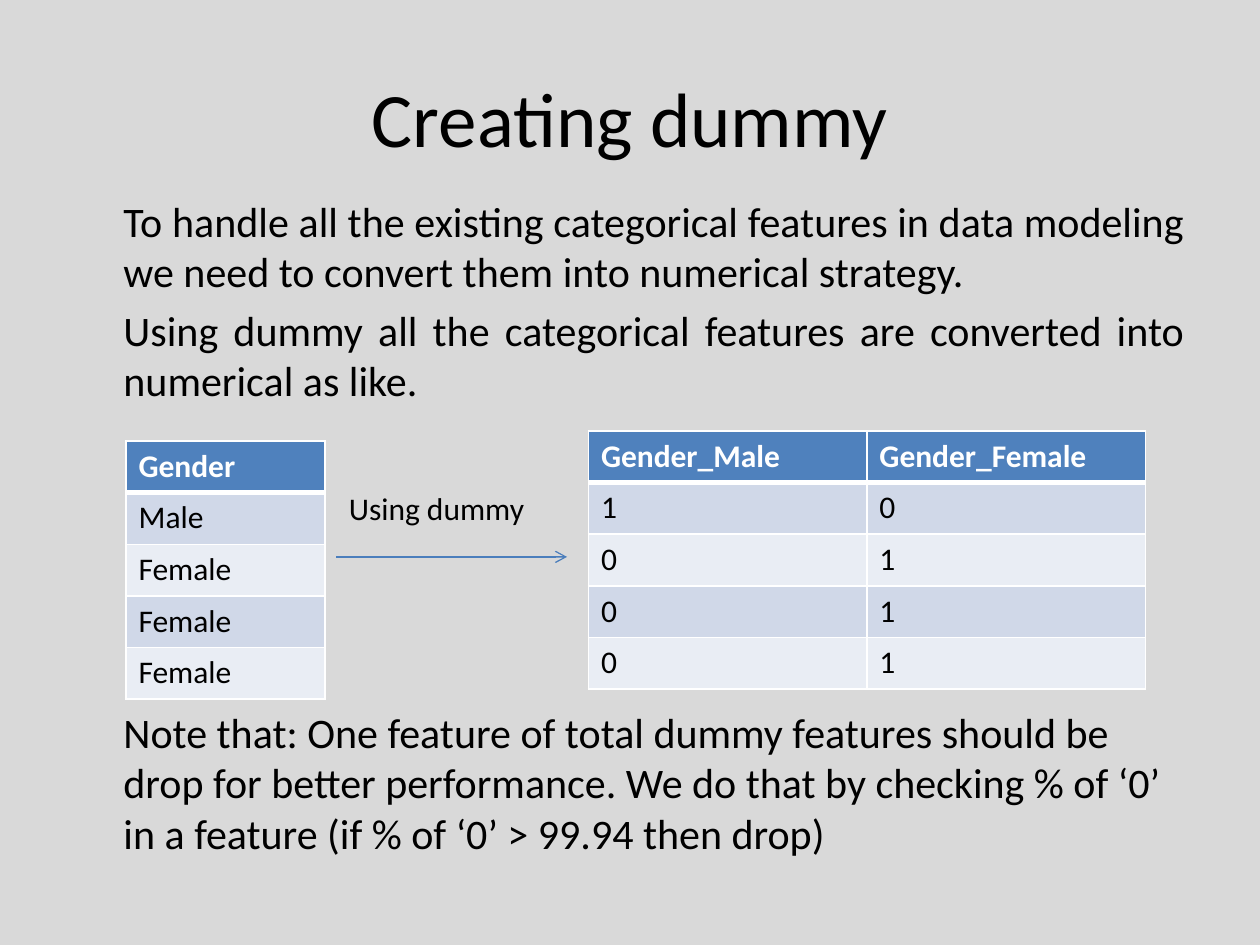
"""Builds a slide on turning a categorical column into dummy columns."""
import pptx
import pptx.dml.color
import pptx.enum.shapes
import pptx.enum.text
import pptx.oxml
import pptx.oxml.ns
import pptx.util

Inches = pptx.util.Inches
Pt = pptx.util.Pt
ALIGN = pptx.enum.text.PP_ALIGN

COLORS = {
    "background": "D9D9D9",
    "text": "000000",
    "white": "FFFFFF",
    "header": "4F81BD",
    "band_dark": "D0D8E8",
    "band_light": "E9EDF4",
    "arrow": "4B7EBC",
}


def rgb(name):
    return pptx.dml.color.RGBColor.from_string(COLORS[name])


def add_xml(parent, tag, body="", **attributes):
    pairs = " ".join(f'{key}="{value}"' for key, value in attributes.items())
    namespace = pptx.oxml.ns.nsdecls("a")
    parent.append(pptx.oxml.parse_xml(f"<a:{tag} {namespace} {pairs}>{body}</a:{tag}>"))


class SlideBuilder:
    font = "Calibri"
    row_height = Inches(0.41)

    def __init__(self, deck):
        self.slide = deck.slides.add_slide(deck.slide_layouts[1])
        fill = self.slide.background.fill
        fill.solid()
        fill.fore_color.rgb = rgb("background")

    def style(self, para, size, color="text", bold=False):
        para.font.name = self.font
        para.font.size = Pt(size)
        para.font.bold = bold
        para.font.color.rgb = rgb(color)

    def place(self, shape, left, top, width, height):
        shape.left, shape.top = Inches(left), Inches(top)
        shape.width, shape.height = Inches(width), Inches(height)

    def title(self, text, *area):
        shape = self.slide.shapes.title
        self.place(shape, *area)
        shape.text_frame.text = text
        para = shape.text_frame.paragraphs[0]
        para.alignment = ALIGN.CENTER
        self.style(para, 44)

    def body(self, entries, *area):
        shape = self.slide.placeholders[1]
        self.place(shape, *area)
        frame = shape.text_frame
        frame.auto_size = pptx.enum.text.MSO_AUTO_SIZE.NONE
        frame.text = "\n".join(text for text, _, _ in entries)
        for para, (_, alignment, space) in zip(frame.paragraphs, entries):
            para.alignment = alignment
            para.space_before = Pt(space)
            self.style(para, 24)
            properties = para._p.get_or_add_pPr()
            properties.set("marL", str(Inches(0.38)))
            properties.set("indent", "0")
            add_xml(properties, "buNone")

    def label(self, text, *area):
        box = self.slide.shapes.add_textbox(*map(Inches, area))
        box.text_frame.word_wrap = True
        box.text_frame.text = text
        self.style(box.text_frame.paragraphs[0], 18)

    def table(self, rows, left, top, column_width):
        count = len(rows[0])
        frame = self.slide.shapes.add_table(
            len(rows), count, Inches(left), Inches(top),
            Inches(column_width * count), self.row_height * len(rows))
        for column in frame.table.columns:
            column.width = Inches(column_width)
        for row_index, values in enumerate(rows):
            frame.table.rows[row_index].height = self.row_height
            for column_index, value in enumerate(values):
                self.cell(frame.table.cell(row_index, column_index), value, row_index)

    def cell(self, cell, value, row_index):
        is_header = row_index == 0
        cell.text = value
        self.style(cell.text_frame.paragraphs[0], 18,
                   "white" if is_header else "text", is_header)
        widths = {"lnL": 1, "lnR": 1, "lnT": 3 if row_index == 1 else 1,
                  "lnB": 3 if is_header else 1}
        solid = f'<a:solidFill><a:srgbClr val="{COLORS["white"]}"/></a:solidFill>'
        for side, width in widths.items():
            add_xml(cell._tc.get_or_add_tcPr(), side, solid, w=Pt(width))
        band = "band_dark" if row_index % 2 else "band_light"
        cell.fill.solid()
        cell.fill.fore_color.rgb = rgb("header" if is_header else band)

    def arrow(self, *ends):
        line = self.slide.shapes.add_connector(
            pptx.enum.shapes.MSO_CONNECTOR.STRAIGHT, *map(Inches, ends))
        line.line.color.rgb = rgb("arrow")
        line.line.width = Pt(0.75)
        add_xml(line.line._get_or_add_ln(), "tailEnd", type="arrow")
        add_xml(line._element.spPr, "effectLst")


def main():
    deck = pptx.Presentation()
    deck.slide_width, deck.slide_height = Inches(10), Inches(7.5)
    page = SlideBuilder(deck)
    page.title("Creating dummy", 0.5, 0.3, 9, 1.25)
    page.body([
        ("To handle all the existing categorical features in data modeling "
         "we need to convert them into numerical strategy.", ALIGN.JUSTIFY, 4.8),
        ("Using dummy all the categorical features are converted into "
         "numerical as like.", ALIGN.JUSTIFY, 4.8),
        ("Note that: One feature of total dummy features should be drop for "
         "better performance. We do that by checking % of ‘0’ in a feature "
         "(if % of ‘0’ > 99.94 then drop)", ALIGN.LEFT, 172),
    ], 0.5, 1.5, 9, 5.67)
    genders = ["Male", "Female", "Female", "Female"]
    page.table([["Gender"]] + [[gender] for gender in genders], 1, 3.5, 1.58)
    dummies = [[str(int(gender == name)) for name in ("Male", "Female")]
               for gender in genders]
    page.table([["Gender_Male", "Gender_Female"]] + dummies, 4.67, 3.42, 2.21)
    page.arrow(2.67, 4.42, 4.5, 4.42)
    page.label("Using dummy", 2.67, 3.83, 1.75, 0.4)
    deck.save("out.pptx")


if __name__ == "__main__":
    main()
